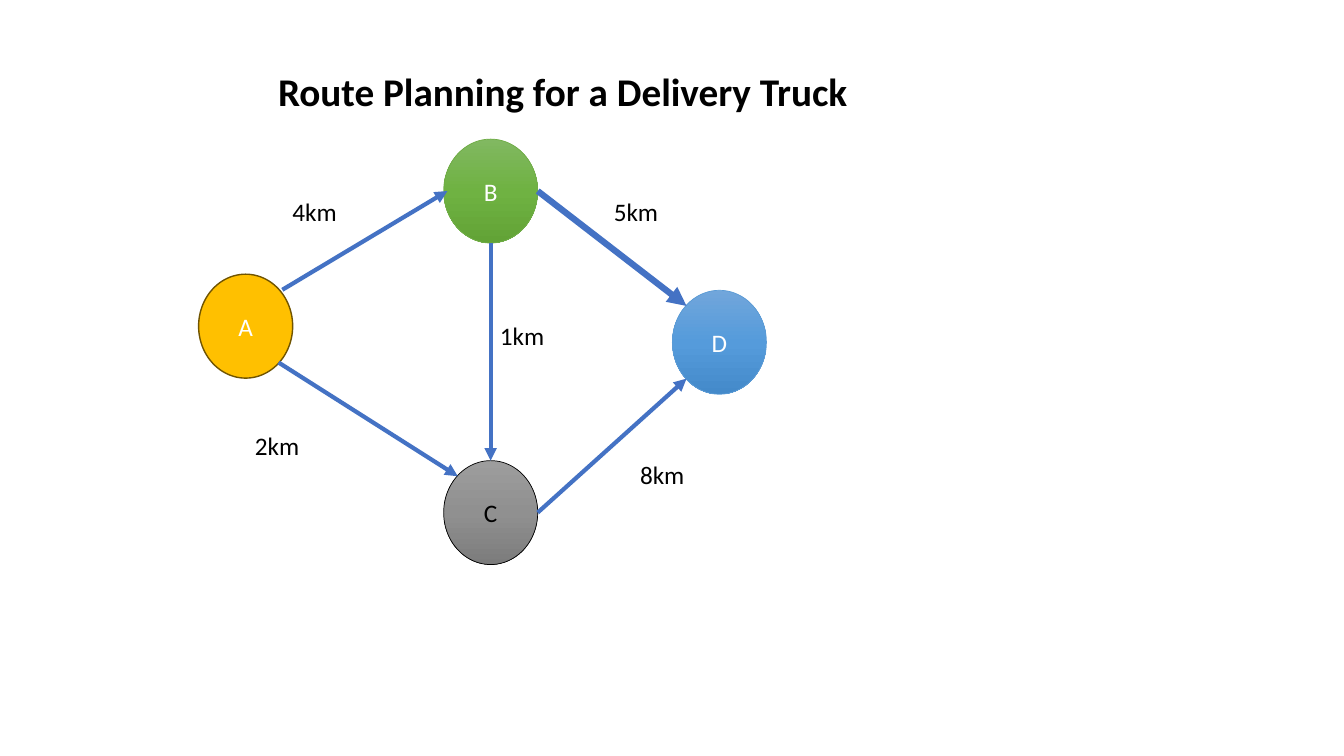
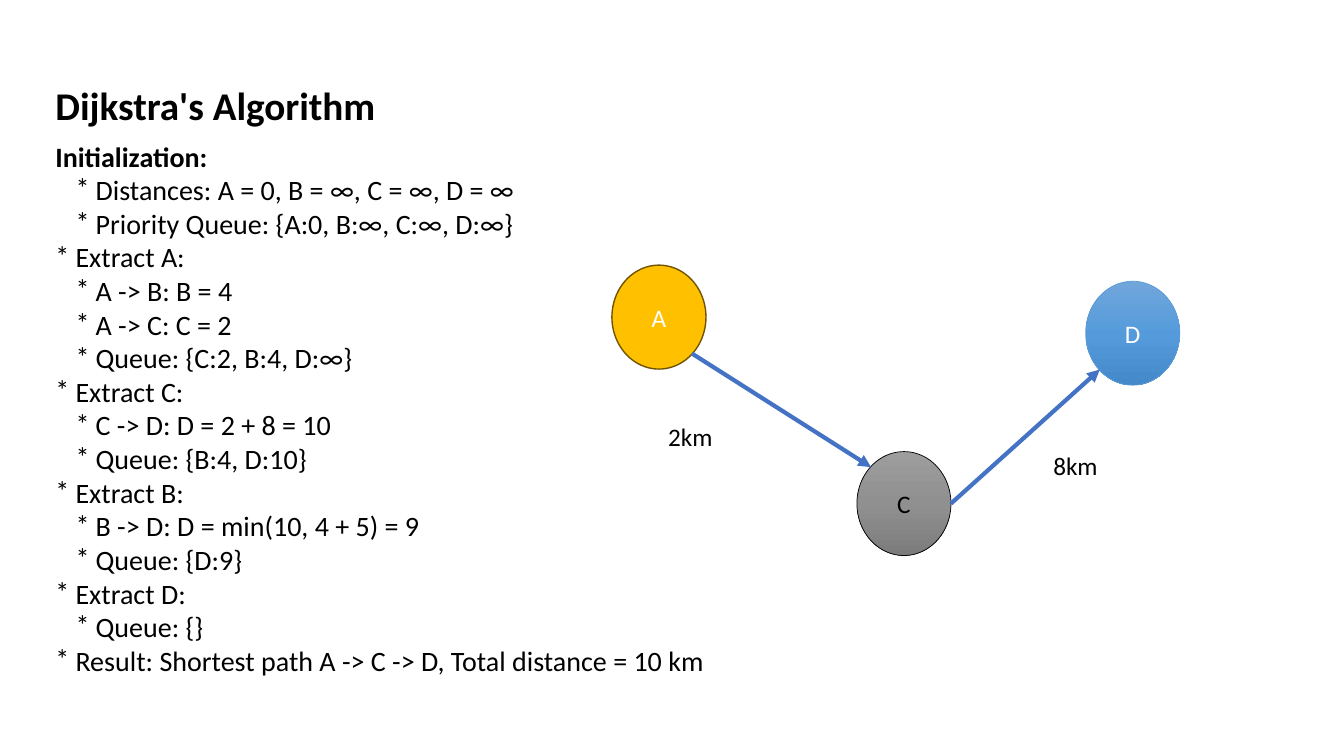
from copy import deepcopy

from lxml import etree
from pptx import Presentation
from pptx.dml.color import RGBColor
from pptx.enum.shapes import MSO_CONNECTOR, MSO_SHAPE
from pptx.enum.text import MSO_ANCHOR, PP_ALIGN
from pptx.oxml.ns import qn
from pptx.util import Inches, Pt

OVAL, STRAIGHT = MSO_SHAPE.OVAL, MSO_CONNECTOR.STRAIGHT
CENTER, MIDDLE = PP_ALIGN.CENTER, MSO_ANCHOR.MIDDLE
SLIDE_W, SLIDE_H = Inches(13.33), Inches(7.5)
FONT = "Calibri"
COLORS = {"ink": "000000", "white": "FFFFFF", "route": "4472C4"}

# Positions and sizes are percentages of the slide's width and height.
NODE_W, NODE_H = 7, 13.75
LABEL_W, LABEL_H = 7.5, 5.33
TITLE_W, TITLE_H = 50, 7.6

# Points on a node: share across, share down, connection site.
TOP, TOP_LEFT = (0.5, 0, 0), (0.15, 0.15, 1)
BOTTOM_LEFT, BOTTOM = (0.15, 0.85, 3), (0.5, 1, 4)
BOTTOM_RIGHT, RIGHT = (0.85, 0.85, 5), (1, 0.5, 6)
UPPER_RIM, LEFT_RIM = (0.89, 0.15, None), (0.04, 0.5, None)

# Towns: left, top, fill stops, outline, outline width, text colour.
TOWNS = {
    "A": (0, 17.87, ["FFC000"], "705400", 1, "white"),
    "B": (18.23, 0, ["81B861", "6FB242", "62A336"], "70AD47", 0.5, "white"),
    "C": (18.23, 42.53, ["9D9D9D", "909090", "7C7C7C"], "000000", 0.5, "ink"),
    "D": (35.25, 20, ["71A6DB", "559BDB", "448ACA"], "5B9BD5", 0.5, "white"),
}
# Roads: start point, end point, line width, distance, label left, label top.
ROADS = {
    "AB": (UPPER_RIM, LEFT_RIM, 3, "4km", 6.23, 6.93),
    "BD": (RIGHT, TOP_LEFT, 4.5, "5km", 30.15, 6.93),
    "AC": (BOTTOM_RIGHT, TOP_LEFT, 3, "2km", 3.45, 37.87),
    "CD": (RIGHT, BOTTOM_LEFT, 3, "8km", 32.1, 41.73),
    "BC": (BOTTOM, TOP, 3, "1km", 21.68, 23.33),
}
STEPS = [
    ("Distances: A = 0, B = ∞, C = ∞, D = ∞", 1),
    ("Priority Queue: {A:0, B:∞, C:∞, D:∞}", 1),
    ("Extract A:", 0),
    ("A -> B: B = 4", 1),
    ("A -> C: C = 2", 1),
    ("Queue: {C:2, B:4, D:∞}", 1),
    ("Extract C:", 0),
    ("C -> D: D = 2 + 8 = 10", 1),
    ("Queue: {B:4, D:10}", 1),
    ("Extract B:", 0),
    ("B -> D: D = min(10, 4 + 5) = 9", 1),
    ("Queue: {D:9}", 1),
    ("Extract D:", 0),
    ("Queue: {}", 1),
    ("Result: Shortest path A -> C -> D, Total distance = 10 km", 0),
]


def across(percent):
    """Turn a percentage of the slide's width into a length."""
    return round(SLIDE_W * percent / 100)


def down(percent):
    """Turn a percentage of the slide's height into a length."""
    return round(SLIDE_H * percent / 100)


def area(left, top, width, height):
    """Turn a box in percentages into lengths."""
    return across(left), down(top), across(width), down(height)


def style(paragraph, size, color="ink", bold=False):
    """Set the font of a paragraph's runs."""
    for run in paragraph.runs:
        run.font.name, run.font.size, run.font.bold = FONT, Pt(size), bold
        run.font.color.rgb = RGBColor.from_string(COLORS[color])


def add_text(slide, box, text, size, bold=False):
    """Add a wrapping text box with one paragraph and return its frame."""
    frame = slide.shapes.add_textbox(*area(*box)).text_frame
    frame.word_wrap = True
    frame.text = text
    style(frame.paragraphs[0], size, bold=bold)
    return frame


def add_title(slide, left, top, text):
    """Add the slide's heading."""
    add_text(slide, (left, top, TITLE_W, TITLE_H), text, 28, bold=True)


def fill_town(town, stops):
    """Fill a town with one colour or a vertical three-stop gradient."""
    if len(stops) == 1:
        town.fill.solid()
        town.fill.fore_color.rgb = RGBColor.from_string(stops[0])
        return
    town.fill.gradient()
    town.fill.gradient_angle = 270
    stop_list = town._element.spPr.find(".//" + qn("a:gsLst"))
    stop_list.insert(1, deepcopy(stop_list[0]))
    for position, (stop, color) in enumerate(zip(town.fill.gradient_stops, stops)):
        stop.position = position / 2
        stop.color.rgb = RGBColor.from_string(color)


def add_town(slide, left, top, name):
    """Add a named town of the graph whose corner is given."""
    x, y, stops, outline, width, color = TOWNS[name]
    town = slide.shapes.add_shape(OVAL, *area(left + x, top + y, NODE_W, NODE_H))
    town.shadow.inherit = False
    fill_town(town, stops)
    town.line.color.rgb = RGBColor.from_string(outline)
    town.line.width = Pt(width)
    town.text_frame.text = name
    town.text_frame.vertical_anchor = MIDDLE
    label = town.text_frame.paragraphs[0]
    label.alignment = CENTER
    style(label, 18, color)
    return town


def point_on(town, point):
    """Locate a point on a town's box."""
    return (round(town.left + town.width * point[0]),
            round(town.top + town.height * point[1]))


def add_road(slide, left, top, towns, name):
    """Add an arrow between two towns with its distance."""
    start, end, width, distance, x, y = ROADS[name]
    source, target = (towns[letter] for letter in name)
    road = slide.shapes.add_connector(
        STRAIGHT, *point_on(source, start), *point_on(target, end))
    road.line.color.rgb = RGBColor.from_string(COLORS["route"])
    road.line.width = Pt(width)
    outline = road._element.spPr.find(qn("a:ln"))
    etree.SubElement(outline, qn("a:tailEnd"), type="triangle")
    etree.SubElement(road._element.spPr, qn("a:effectLst"))
    joints = road._element.find(".//" + qn("p:cNvCxnSpPr"))
    for tag, town, point in (("a:stCxn", source, start), ("a:endCxn", target, end)):
        if point[2] is not None:
            etree.SubElement(joints, qn(tag), id=str(town.shape_id), idx=str(point[2]))
    add_text(slide, (left + x, top + y, LABEL_W, LABEL_H), distance, 18)


def add_graph(slide, left, top, town_names, road_names):
    """Draw the chosen towns and roads from the given corner."""
    towns = {name: add_town(slide, left, top, name) for name in town_names}
    for name in road_names:
        add_road(slide, left, top, towns, name)


def add_steps(slide, box):
    """Write the algorithm's steps as a two-level starred list."""
    frame = add_text(slide, box, "Initialization:", 20, bold=True)
    hang = Inches(0.2)
    for text, level in STEPS:
        step = frame.add_paragraph()
        step.text = text
        properties = step._p.get_or_add_pPr()
        properties.set("marL", str(hang * (level + 1)))
        properties.set("indent", str(-hang))
        etree.SubElement(properties, qn("a:buFont"), typeface=FONT)
        etree.SubElement(properties, qn("a:buChar"), char="*")
        style(step, 20)


def main():
    """Build and save the presentation."""
    deck = Presentation()
    deck.slide_width, deck.slide_height = SLIDE_W, SLIDE_H
    blank = deck.slide_layouts[6]

    planning = deck.slides.add_slide(blank)
    add_graph(planning, 14.78, 18.4, "ACDB", ROADS)
    add_title(planning, 19.95, 8.27, "Route Planning for a Delivery Truck")

    algorithm = deck.slides.add_slide(blank)
    add_steps(algorithm, (3.38, 17.73, 70.13, 73.2))
    add_title(algorithm, 3.38, 10.13, "Dijkstra's Algorithm")
    add_graph(algorithm, 45.53, 17.2, "ACD", ["AC", "CD"])

    deck.save("out.pptx")


if __name__ == "__main__":
    main()
